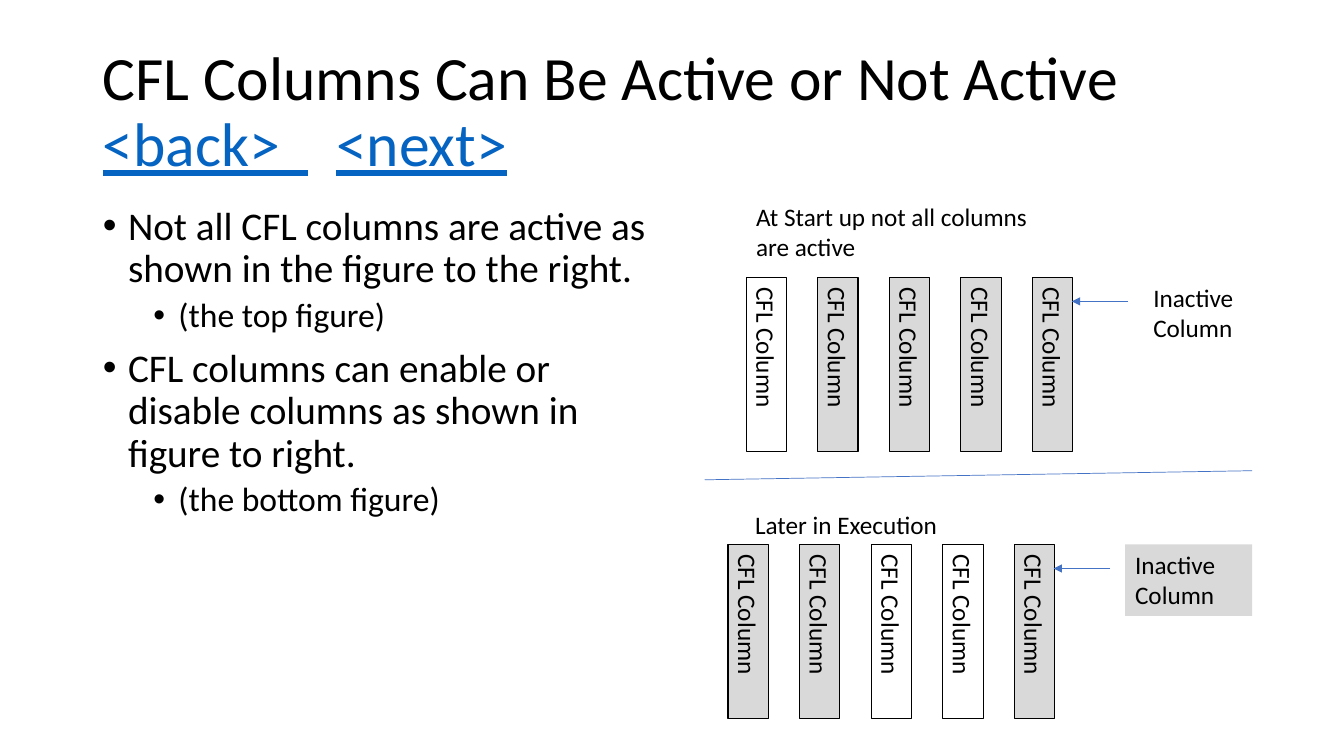
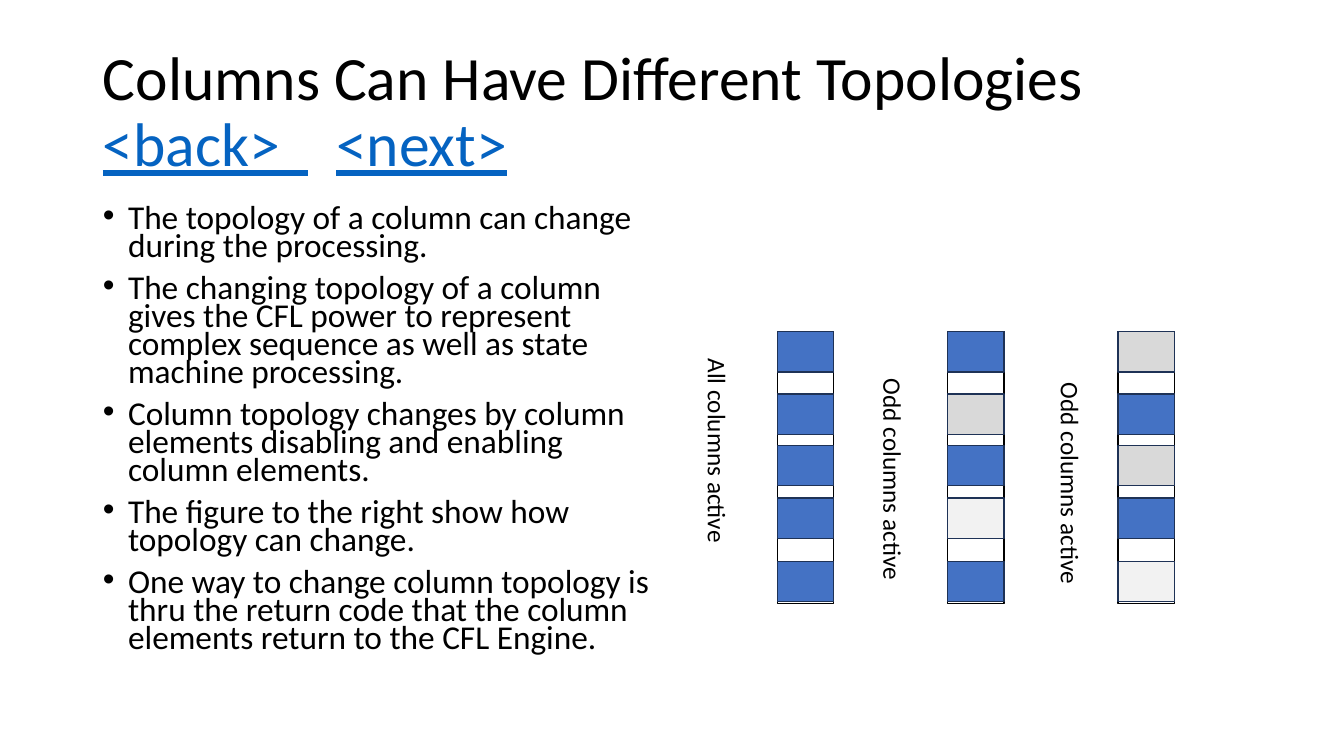
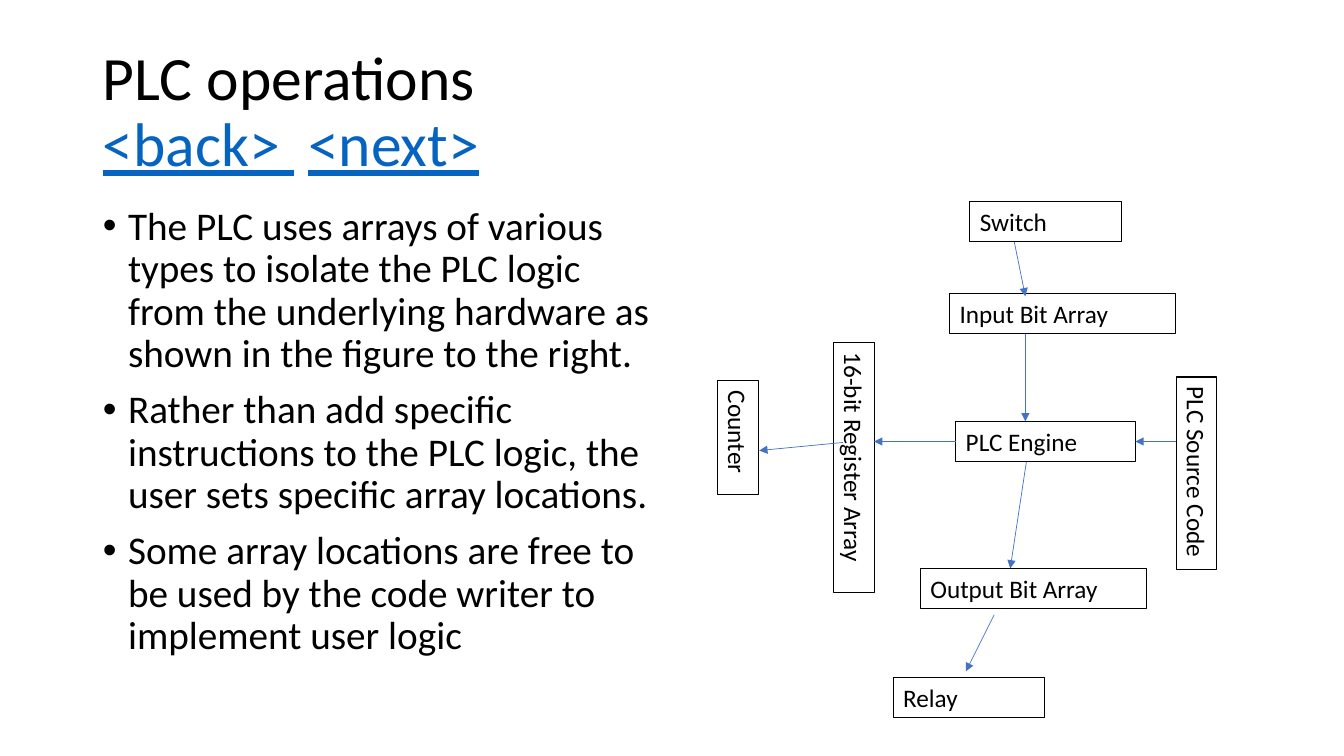
from pptx import Presentation
from pptx.dml.color import RGBColor
from pptx.enum.shapes import MSO_CONNECTOR as Connector, MSO_SHAPE as Shape
from pptx.enum.text import MSO_ANCHOR as Anchor, MSO_AUTO_SIZE as AutoSize, PP_ALIGN as Align
from pptx.oxml.ns import qn
from pptx.util import Inches, Pt
from lxml import etree

COLORS = {
    "text": "000000", "link": "0563C1", "white": "FFFFFF", "blue": "4472C4",
    "navy": "1E3256", "grey": "D9D9D9", "pale": "F2F2F2",
}
FONT = "Calibri"
TITLE_BOX = (0.92, 0.4, 11.5, 1.45)
BODY_BOX = (0.92, 2, 5.67, 4.76)
# Per list level: text size, left margin, space before
LEVELS = [(28, 0.25, 10), (24, 0.75, 5)]
BAR = 0.4  # thickness of one-line boxes


def rgb(name):
    return RGBColor.from_string(COLORS[name])


def apply(target, values):
    for name, value in values.items():
        setattr(target, name, value)


def add_span(para, text, size, color="text", underline=False):
    span = para.add_run()
    span.text = text
    apply(span.font, {"name": FONT, "size": Pt(size), "underline": underline})
    span.font.color.rgb = rgb(color)


def place(shape, box):
    apply(shape, dict(zip(("left", "top", "width", "height"), map(Inches, box))))


# Title and list
def fill_title(title, heading, gap):
    place(title, TITLE_BOX)
    apply(title.text_frame, {"vertical_anchor": Anchor.MIDDLE, "word_wrap": True,
                             "auto_size": AutoSize.NONE})
    para = title.text_frame.paragraphs[0]
    apply(para, {"alignment": Align.LEFT, "line_spacing": 0.9})
    add_span(para, heading, 44)
    para.add_line_break()
    add_span(para, "<back>" + gap, 44, "link", True)
    add_span(para, gap, 44)
    add_span(para, "<next>", 44, "link", True)


def fill_list(body, items, size, spacing):
    place(body, BODY_BOX)
    apply(body.text_frame, {"word_wrap": True, "auto_size": AutoSize.NONE})
    for index, (level, text) in enumerate(items):
        para = body.text_frame.paragraphs[0] if index == 0 else body.text_frame.add_paragraph()
        level_size, margin, before = LEVELS[level]
        apply(para, {"level": level, "line_spacing": spacing, "space_before": Pt(before)})
        props = para._p.get_or_add_pPr()
        props.set("marL", str(Inches(margin)))
        props.set("indent", str(Inches(-0.25)))
        etree.SubElement(props, qn("a:buFont")).set("typeface", "Arial")
        etree.SubElement(props, qn("a:buChar")).set("char", "•")
        add_span(para, text, size or level_size)


def content_page(deck, heading, items, gap="  ", size=None, spacing=0.9):
    page = deck.slides.add_slide(deck.slide_layouts[1])
    fill_title(page.shapes.title, heading, gap)
    fill_list(page.placeholders[1], items, size, spacing)
    return page


# Figure parts
def add_rect(page, box, fill=None, edge=None, weight=0.75):
    rect = page.shapes.add_shape(Shape.RECTANGLE, *map(Inches, box))
    rect.shadow.inherit = False
    if fill:
        rect.fill.solid()
        rect.fill.fore_color.rgb = rgb(fill)
    else:
        rect.fill.background()
    if edge:
        rect.line.color.rgb = rgb(edge)
        rect.line.width = Pt(weight)
    else:
        rect.line.fill.background()
    return rect


def add_label(page, box, lines, fill=None, edge=None, upright=False):
    """Write lines in the box as seen; upright text runs downwards."""
    left, top, width, height = box
    if upright:
        shift = (height - width) / 2
        box = (left - shift, top + shift, height, width)
    if fill or edge:
        label = add_rect(page, box, fill, edge)
    else:
        label = page.shapes.add_textbox(*map(Inches, box))
    label.rotation = 90 if upright else 0
    frame = label.text_frame
    apply(frame, {"word_wrap": True, "vertical_anchor": Anchor.TOP})
    for index, text in enumerate(lines):
        para = frame.paragraphs[0] if index == 0 else frame.add_paragraph()
        para.alignment = Align.LEFT
        add_span(para, text, 18)
    return label


def add_line(page, start, end, arrow=True):
    line = page.shapes.add_connector(Connector.STRAIGHT, *map(Inches, (*start, *end)))
    line.line.color.rgb = rgb("blue")
    line.line.width = Pt(0.5)
    if arrow:
        etree.SubElement(line.line._get_or_add_ln(), qn("a:tailEnd")).set("type", "triangle")
    etree.SubElement(line._element.spPr, qn("a:effectLst"))
    return line


# Row of columns with an arrow from the "Inactive Column" label
def column_row(page, left, top, fills, label_fill=None):
    for index, fill in enumerate(fills):
        add_label(page, (left + index * 0.71, top, BAR, 1.73), ["CFL Column"],
                  fill, "text", upright=True)
    add_line(page, (left + 3.79, top + 0.24), (left + 3.23, top + 0.24))
    add_label(page, (left + 3.94, top, 1.26, 0.71), ["Inactive", "Column"], label_fill)


# Column of five elements with its upright caption
def element_stack(page, left, top, fills, caption, caption_box):
    width = 0.56
    add_rect(page, (left, top, width, 2.7), "white", "text", 1)
    for offset, fill in zip((0, 0.62, 1.13, 1.65, 2.28), fills):
        add_rect(page, (left, top + offset, width, BAR), fill, "navy", 1)
    dx, dy, height = caption_box
    add_label(page, (left + dx, top + dy, BAR, height), [caption], upright=True)


# Flow from switch to relay around the engine
def engine_flow(page, left, top):
    def at(x, y):
        return left + x, top + y

    wide = [
        ("Switch", 2.62, 0, 1.5), ("Input Bit Array", 2.42, 0.91, 2.24),
        ("PLC Engine", 2.48, 2.18, 1.78), ("Output Bit Array", 2.13, 3.64, 2.24),
        ("Relay", 1.86, 4.72, 1.5),
    ]
    tall = [
        ("Counter", 0.12, 1.78, 1.13), ("16-bit Register Array", 1.27, 1.4, 2.48),
        ("PLC Source Code", 4.67, 1.74, 1.91),
    ]
    nodes = {}
    for name, x, y, length in wide:
        nodes[name] = add_label(page, (*at(x, y), length, BAR), [name], edge="text")
    for name, x, y, length in tall:
        add_label(page, (*at(x, y), BAR, length), [name], edge="text", upright=True)

    arrows = [
        ((3.06, 0.4), (3.17, 0.94)), ((3.17, 1.31), (3.17, 2.18)),
        ((3.18, 2.58), (3.02, 3.64)), ((2.86, 4.1), (2.58, 4.66)),
        ((1.36, 2.39), (0.53, 2.47)),
    ]
    for start, end in arrows:
        add_line(page, at(*start), at(*end))
    engine = nodes["PLC Engine"]
    to_register = add_line(page, at(2.48, 2.38), at(1.67, 2.38))
    to_register.begin_connect(engine, 1)
    from_source = add_line(page, at(4.66, 2.38), at(4.26, 2.38))
    from_source.end_connect(engine, 3)


def active_page(deck):
    page = content_page(deck, "CFL Columns Can Be Active or Not Active", [
        (0, "Not all CFL columns are active as shown in the figure to the right."),
        (1, "(the top figure)"),
        (0, "CFL columns can enable or disable columns as shown in figure to right."),
        (1, "(the bottom figure)"),
    ])
    add_label(page, (7.4, 1.95, 2.91, 0.71), ["At Start up not all columns are active"])
    column_row(page, 7.4, 2.75, [None] + ["grey"] * 4)
    add_line(page, (6.99, 4.76), (12.42, 4.67), arrow=False)
    add_label(page, (7.39, 5, 2.92, BAR), ["Later in Execution"])
    column_row(page, 7.22, 5.4, ["grey", "grey", "white", "white", "grey"], "grey")


def topology_page(deck):
    page = content_page(deck, "Columns Can Have Different Topologies", [
        (0, "The topology of a column can change during the processing."),
        (0, "The changing topology of a column gives the CFL power to represent complex "
            "sequence as well as state machine processing."),
        (0, "Column topology changes by column elements disabling and enabling "
            "column elements."),
        (0, "The figure to the right show how topology can change."),
        (0, "One way to change column topology is thru the return code that the column "
            "elements return to the CFL Engine."),
    ], size=23.8, spacing=0.7)
    stacks = [
        (["blue"] * 5, "All columns active", (-0.79, 0.17, 2.16)),
        (["blue", "grey", "blue", "pale", "blue"], "Odd columns active", (-0.74, 0.37, 2.43)),
        (["grey", "blue", "grey", "blue", "pale"], "Odd columns active", (-0.67, 0.41, 2.39)),
    ]
    for index, stack in enumerate(stacks):
        element_stack(page, 7.71 + index * 1.69, 3.29, *stack)


def operations_page(deck):
    page = content_page(deck, "PLC operations", [
        (0, "The PLC uses arrays of various types to isolate the PLC logic from the "
            "underlying hardware as shown in the figure to the right."),
        (0, "Rather than add specific instructions to the PLC logic, the user sets "
            "specific array locations."),
        (0, "Some array locations are free to be used by the code writer to implement "
            "user logic"),
    ], gap=" ")
    engine_flow(page, 7, 2)


def main():
    deck = Presentation()
    apply(deck, {"slide_width": Inches(13.33), "slide_height": Inches(7.5)})
    for build in (active_page, topology_page, operations_page):
        build(deck)
    deck.save("out.pptx")


if __name__ == "__main__":
    main()
